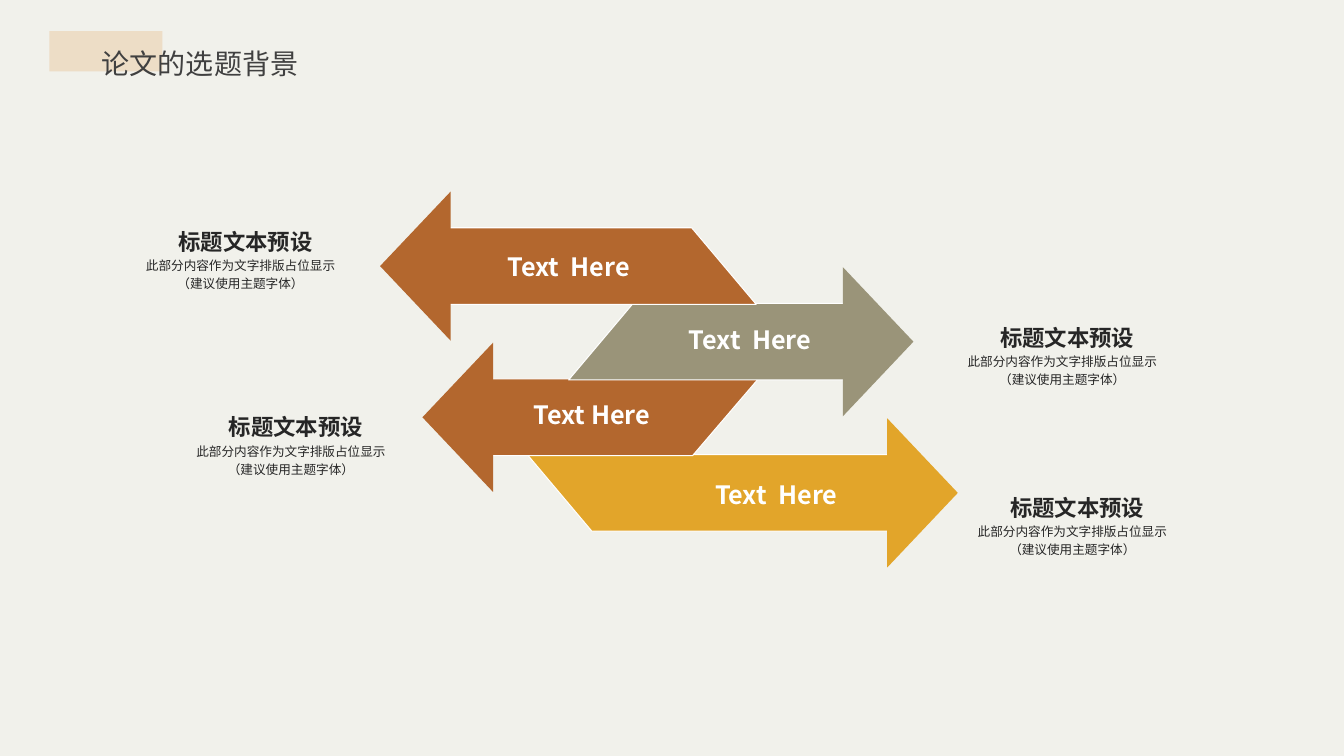
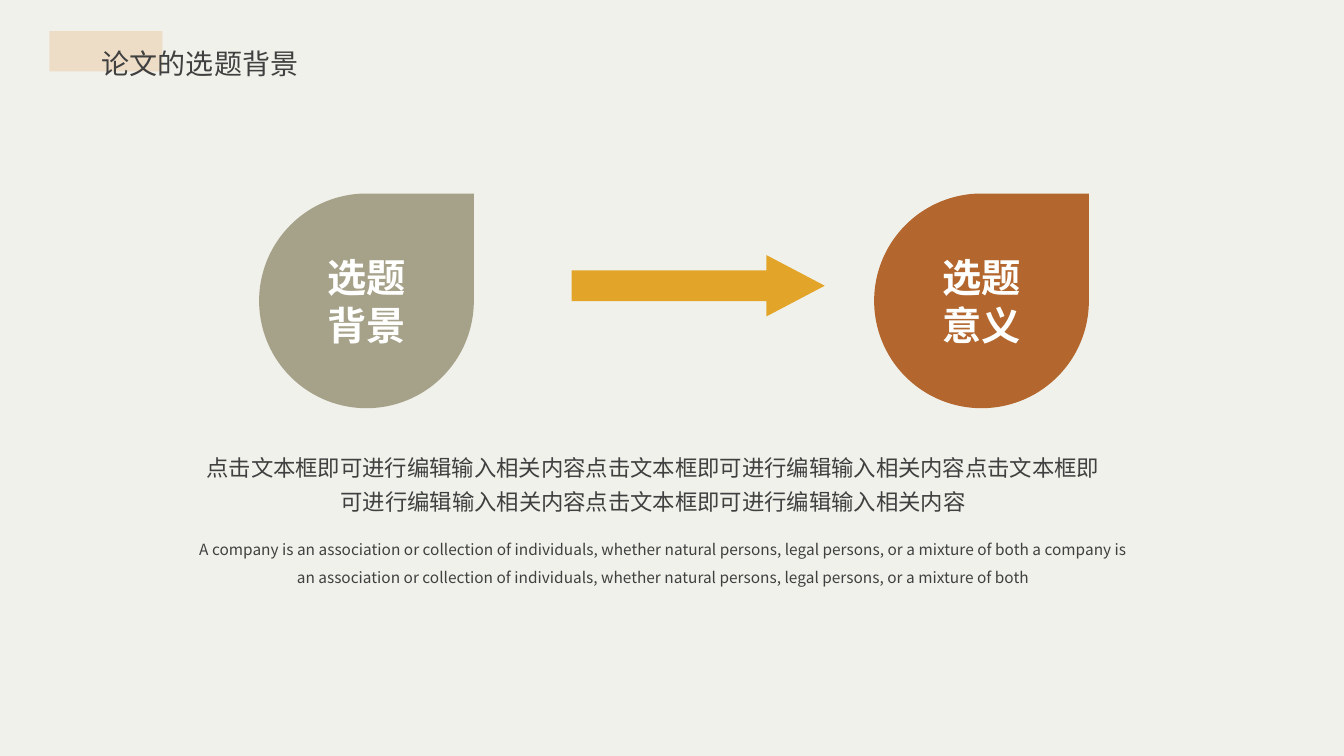
from lxml import etree
from pptx import Presentation
from pptx.dml.color import RGBColor
from pptx.enum.shapes import MSO_SHAPE
from pptx.enum.text import MSO_ANCHOR, MSO_AUTO_SIZE, PP_ALIGN
from pptx.oxml.ns import qn
from pptx.util import Inches, Pt

CREAM = RGBColor(0xF1, 0xF1, 0xEB)
SAND = RGBColor(0xED, 0xDD, 0xC6)
RUST = RGBColor(0xB3, 0x67, 0x2E)
OLIVE = RGBColor(0x9A, 0x94, 0x79)
GOLD = RGBColor(0xE2, 0xA5, 0x2A)
WHITE = RGBColor(0xFF, 0xFF, 0xFF)
GREY = RGBColor(0x40, 0x40, 0x40)
DARK = RGBColor(0x26, 0x26, 0x26)
FONT = "Noto Sans CJK SC"

RECTANGLE, TEARDROP, RIGHT_ARROW = MSO_SHAPE.RECTANGLE, MSO_SHAPE.TEAR, MSO_SHAPE.RIGHT_ARROW
TOP, MIDDLE, BOTTOM = MSO_ANCHOR.TOP, MSO_ANCHOR.MIDDLE, MSO_ANCHOR.BOTTOM
CENTER, JUSTIFY = PP_ALIGN.CENTER, PP_ALIGN.JUSTIFY
NO_AUTOFIT = MSO_AUTO_SIZE.NONE
TITLE_ONLY = 5


def paint(shape, color, outline=None):
    shape.shadow.inherit = False
    shape.fill.solid()
    shape.fill.fore_color.rgb = color
    if outline is None:
        shape.line.fill.background()
    else:
        shape.line.color.rgb = outline
        shape.line.width = Pt(0.75)


def write(shape, lines, size, color, bold=False, spacing=1.0, align=CENTER,
          anchor=TOP, wrap=True, inset=True):
    frame = shape.text_frame
    frame.auto_size = NO_AUTOFIT
    frame.word_wrap = wrap
    frame.vertical_anchor = anchor
    frame.margin_left = frame.margin_right = Inches(0.1 if inset else 0)
    frame.margin_top = frame.margin_bottom = Inches(0.05 if inset else 0)
    frame.text = "\n".join(lines)
    for paragraph in frame.paragraphs:
        paragraph.alignment = align
        paragraph.line_spacing = spacing
        font = paragraph.font
        font.size, font.bold, font.name = Pt(size), bold, FONT
        font.color.rgb = color
        defaults = paragraph._p.pPr.find(qn("a:defRPr"))
        etree.SubElement(defaults, qn("a:ea")).set("typeface", FONT)


prs = Presentation()
prs.slide_width, prs.slide_height = Inches(13.33), Inches(7.5)
background = prs.slide_master.background.fill
background.solid()
background.fore_color.rgb = CREAM

slides = []
for _ in range(2):
    slide = prs.slides.add_slide(prs.slide_layouts[TITLE_ONLY])
    band = slide.shapes.add_shape(RECTANGLE, Inches(0.49), Inches(0.31), Inches(1.12), Inches(0.4))
    paint(band, SAND)
    title = slide.shapes.title
    title._element.addprevious(band._element)
    title.left, title.top = Inches(0.91), Inches(0.24)
    title.width, title.height = Inches(3.5), Inches(0.55)
    write(title, ["论文的选题背景"], 20, GREY, spacing=1.5, align=JUSTIFY)
    slides.append(slide)
arrows_slide, meaning_slide = slides

HEAD_LENGTH, HEAD_HALF, BODY_HALF, OVERLAP = 0.7, 0.74, 0.38, 0.08
FIRST_AXIS, AXIS_STEP = 2.64, 0.75
arrows = [
    (3.77, 6.86, 7.5, RUST, "Text  Here", 4.71, 2.44),
    (9.06, 6.28, 5.64, OLIVE, "Text  Here", 6.51, 3.17),
    (4.19, 7.52, 6.87, RUST, "Text Here", 4.94, 3.91),
    (9.5, 5.23, 5.87, GOLD, "Text  Here", 6.77, 4.71),
]
shapes = arrows_slide.shapes
for row, (tip, tail_top, tail_bottom, color, *_) in reversed(list(enumerate(arrows))):
    axis = FIRST_AXIS + row * AXIS_STEP
    inward = 1 if tail_top > tip else -1
    neck = tip + inward * HEAD_LENGTH
    body_end = neck - inward * OVERLAP
    upper, lower = axis - BODY_HALF, axis + BODY_HALF
    body = [(body_end, upper), (tail_top, upper), (tail_bottom, lower), (body_end, lower)]
    head = [(tip, axis), (neck, axis - HEAD_HALF), (neck, axis + HEAD_HALF)]
    for corners, outline in ((body, WHITE), (head, None)):
        points = [(Inches(x), Inches(y)) for x, y in corners]
        builder = shapes.build_freeform(*points[0])
        builder.add_line_segments(points[1:], close=True)
        paint(builder.convert_to_shape(), color, outline)

for *_, label, left, top in arrows:
    arrow_label = shapes.add_textbox(Inches(left), Inches(top), Inches(1.86), Inches(0.4))
    write(arrow_label, [label], 18, WHITE, bold=True)

for left, top in ((1.35, 2.07), (1.85, 3.91), (9.5, 3.02), (9.6, 4.71)):
    heading = shapes.add_textbox(Inches(left), Inches(top), Inches(2.17), Inches(0.46))
    write(heading, ["标题文本预设"], 16, DARK, bold=True, anchor=BOTTOM, wrap=False, inset=False)
    detail = shapes.add_textbox(Inches(left), Inches(top + 0.46), Inches(2.07), Inches(0.32))
    write(detail, ["此部分内容作为文字排版占位显示\v（建议使用主题字体）"], 9, DARK,
          spacing=1.2, inset=False)

shapes = meaning_slide.shapes
for left, color, opacity, words in (
    (2.57, OLIVE, 85, ["选题", "背景"]),
    (8.67, RUST, 100, ["选题", "意义"]),
):
    drop = shapes.add_shape(TEARDROP, Inches(left), Inches(1.92), Inches(2.13), Inches(2.13))
    paint(drop, color)
    if opacity < 100:
        drop_color = drop._element.spPr.find(qn("a:solidFill"))[0]
        etree.SubElement(drop_color, qn("a:alpha")).set("val", str(opacity * 1000))
    write(drop, words, 28, WHITE, bold=True, anchor=MIDDLE, wrap=False)

transition = shapes.add_shape(RIGHT_ARROW, Inches(5.67), Inches(2.53), Inches(2.51), Inches(0.61))
transition.adjustments[0] = 0.5
transition.adjustments[1] = 0.95
paint(transition, GOLD)

summary = shapes.add_textbox(Inches(1.84), Inches(4.39), Inches(9.28), Inches(0.77))
write(summary, ["点击文本框即可进行编辑输入相关内容" * 4], 16, GREY, spacing=1.25)

definition = shapes.add_textbox(Inches(1.94), Inches(5.27), Inches(9.28), Inches(0.58))
write(definition, [
    "A company is an association or collection of individuals, whether natural persons, "
    "legal persons, or a mixture of both a company is an association or collection of "
    "individuals, whether natural persons, legal persons, or a mixture of both"
], 11, GREY, spacing=1.5, inset=False)

prs.save("out.pptx")
